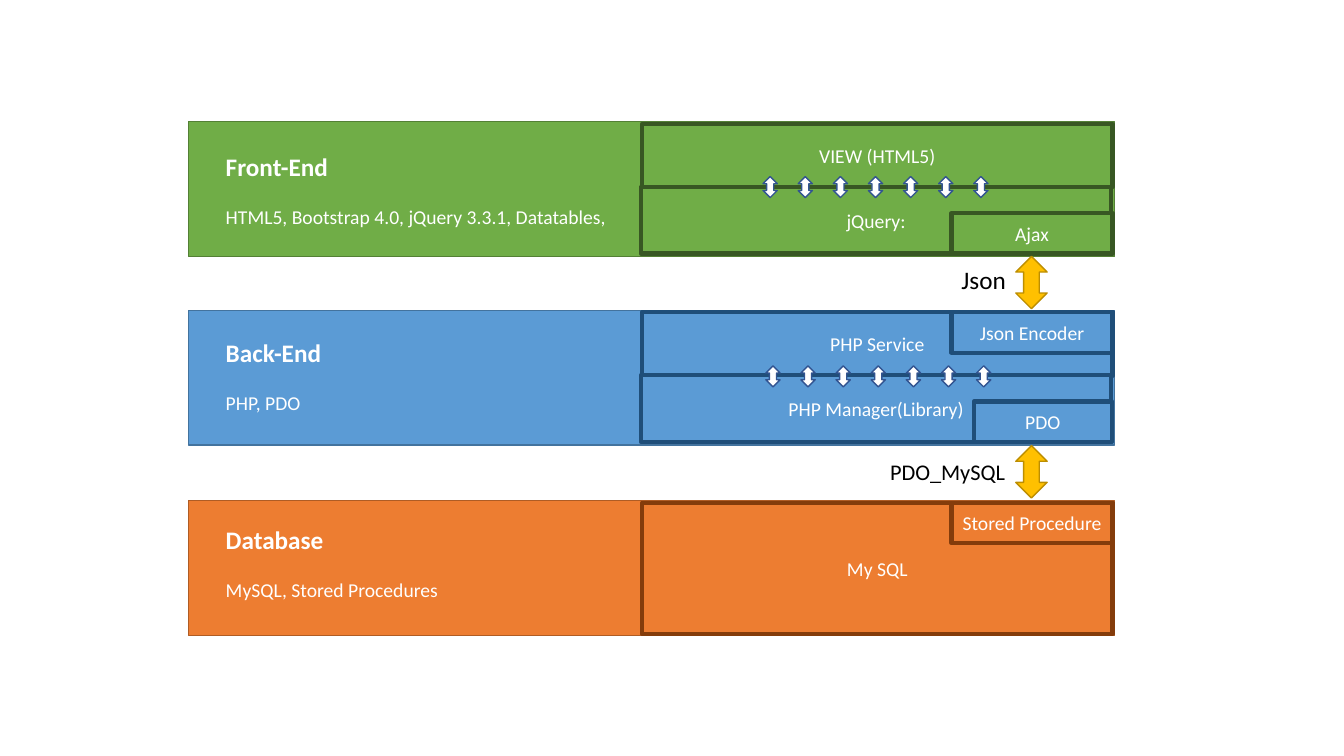
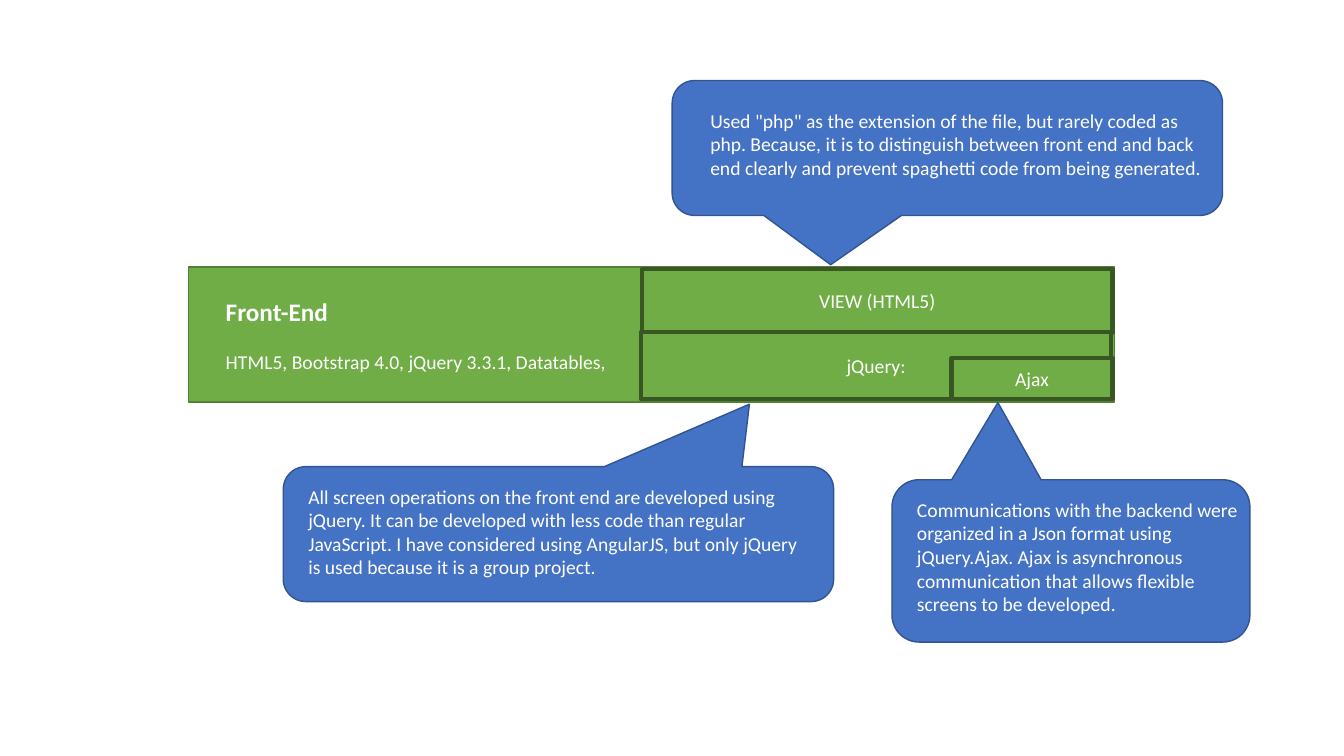
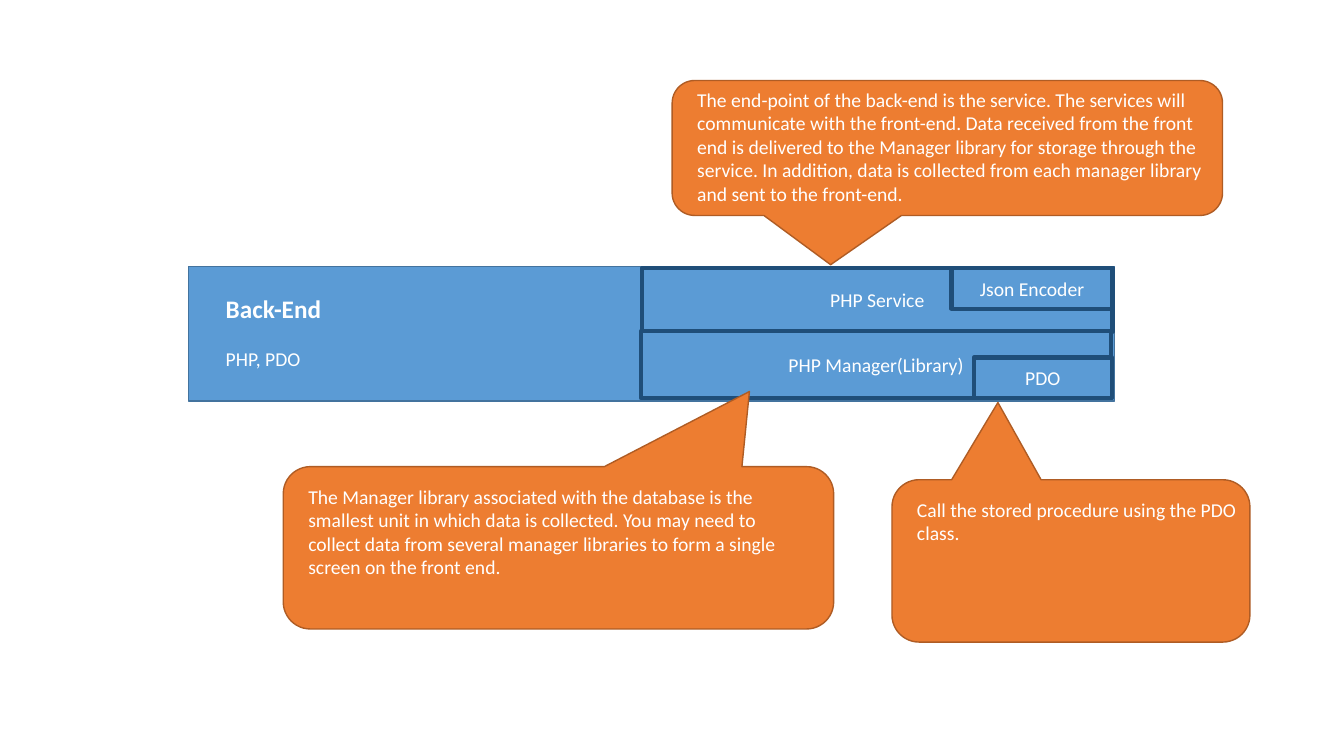
"""Build three slides on the layers of a web application."""
from pptx import Presentation
from pptx.dml.color import RGBColor
from pptx.enum.shapes import MSO_SHAPE as Shape
from pptx.enum.text import MSO_ANCHOR, MSO_AUTO_SIZE, PP_ALIGN
from pptx.util import Cm, Pt

FONT = "Calibri"
COLORS = {
    "white": "FFFFFF", "black": "000000",
    "green": "70AD47", "green_line": "538035", "green_dark": "385723",
    "blue": "5B9BD5", "blue_line": "43739E", "blue_dark": "1F4E79",
    "orange": "ED7D31", "orange_line": "AF5C24", "orange_dark": "843C0B",
    "royal": "4472C4", "royal_line": "325491",
    "gold": "FFC000", "gold_line": "BD8E00",
}
LAYER_LEFT, LAYER_W, LAYER_H = 4.75, 23.34, 3.4
TEXT_LEFT, DETAIL_STEP = 5.44, 1.35
UPPER, LOWER = (16.18, 0.05, 11.86, 1.6), (16.15, 1.64, 11.86, 1.68)
TOP_TAB, BOTTOM_TAB = (23.98, 0.05, 4.06, 1.02), (23.98, 2.3, 4.06, 1.02)
PDO_TAB = (24.54, 2.3, 3.48, 1.02)
ARROW_COUNT, ARROW_PITCH = 7, 0.885
LINK_LEFT, LINK_W, LINK_H, LABEL_RIGHT = 25.6, 0.79, 1.32, 25.63

FRONT = {
    "color": "green", "title": ("Front-End", 3.12), "title_dy": 0.61,
    "detail": ("HTML5, Bootstrap 4.0, jQuery 3.3.1, Datatables,", 10.19),
    "boxes": [("VIEW (HTML5)", UPPER), ("jQuery:", LOWER), ("Ajax", BOTTOM_TAB)],
}
BACK = {
    "color": "blue", "title": ("Back-End", 2.95), "title_dy": 0.56,
    "detail": ("PHP, PDO", 2.41),
    "boxes": [("PHP Service", UPPER), ("PHP Manager(Library)", LOWER),
              ("PDO", PDO_TAB), ("Json Encoder", TOP_TAB)],
}
DATABASE = {
    "color": "orange", "title": ("Database", 3), "title_dy": 0.46,
    "detail": ("MySQL, Stored Procedures", 5.92),
    "boxes": [("My SQL", (16.18, 0.05, 11.86, 3.3)), ("Stored Procedure", TOP_TAB)],
}
STACK = [(FRONT, 3.07), (BACK, 7.82), (DATABASE, 12.62)]
LINKS = [
    {"top": 6.46, "label": "Json", "width": 1.65, "size": 18, "dy": 0.07, "arrows": (19.23, 4.45)},
    {"top": 11.23, "label": "PDO_MySQL", "width": 3.45, "size": 16, "dy": 0.18, "arrows": (19.3, 9.22)},
]
TOP_TAIL, LEFT_TAIL, RIGHT_TAIL = (-0.212, 0.865), (0.347, -0.963), (-0.204, -0.976)
RIGHT_CALLOUT = (22.48, 12.09, 9.02, 4.09)
DETAILS = [
    (FRONT, 6.73, "royal", [
        ((16.94, 2.03, 13.87, 3.4), TOP_TAIL, (0.71, 0.58, 13.13),
         'Used "php" as the extension of the file, but rarely coded as php. Because, it is to '
         "distinguish between front end and back end clearly and prevent spaghetti code from "
         "being generated."),
        ((7.14, 11.76, 13.87, 3.4), LEFT_TAIL, (0.38, 0.33, 13.03),
         "All screen operations on the front end are developed using jQuery. It can be developed "
         "with less code than regular JavaScript. I have considered using AngularJS, but only "
         "jQuery is used because it is a group project."),
        (RIGHT_CALLOUT, RIGHT_TAIL, (0.38, 0.33, 9.02),
         "Communications with the backend were organized in a Json format using jQuery.Ajax. Ajax "
         "is asynchronous communication that allows flexible screens to be developed."),
    ]),
    (BACK, 6.71, "orange", [
        ((16.94, 2.03, 13.87, 3.4), TOP_TAIL, (0.38, 0.05, 13.67),
         "The end-point of the back-end is the service. The services will communicate with the "
         "front-end. Data received from the front end is delivered to the Manager library for "
         "storage through the service. In addition, data is collected from each manager library "
         "and sent to the front-end."),
        ((7.14, 11.76, 13.87, 4.09), LEFT_TAIL, (0.38, 0.33, 13.03),
         "The Manager library associated with the database is the smallest unit in which data is "
         "collected. You may need to collect data from several manager libraries to form a single "
         "screen on the front end."),
        (RIGHT_CALLOUT, RIGHT_TAIL, (0.38, 0.33, 9.02),
         "Call the stored procedure using the PDO class."),
    ]),
]


def rgb(name):
    return RGBColor.from_string(COLORS[name])


def set_text(tf, text, size, color="white", bold=False, align=PP_ALIGN.LEFT):
    p = tf.paragraphs[0]
    p.text, p.alignment = text, align
    p.font.name, p.font.size, p.font.bold = FONT, Pt(size), bold
    p.font.color.rgb = rgb(color)


def add_text(s, text, left, top, width, size, wrap=False, **style):
    tf = s.shapes.add_textbox(Cm(left), Cm(top), Cm(width), Cm(size * 0.057)).text_frame
    tf.word_wrap, tf.auto_size = wrap, MSO_AUTO_SIZE.SHAPE_TO_FIT_TEXT
    set_text(tf, text, size, **style)


def add_figure(s, kind, box, fill, line, weight=1):
    sp = s.shapes.add_shape(kind, *map(Cm, box))
    sp.shadow.inherit = False
    sp.fill.solid()
    sp.fill.fore_color.rgb = rgb(fill)
    sp.line.color.rgb = rgb(line)
    sp.line.width = Pt(weight)
    return sp


def add_layer(s, layer, top):
    color = layer["color"]
    add_figure(s, Shape.RECTANGLE, (LAYER_LEFT, top, LAYER_W, LAYER_H), color, color + "_line")
    title, title_w = layer["title"]
    detail, detail_w = layer["detail"]
    title_top = top + layer["title_dy"]
    add_text(s, title, TEXT_LEFT, title_top, title_w, 18, bold=True)
    add_text(s, detail, TEXT_LEFT, title_top + DETAIL_STEP, detail_w, 14)
    for text, (left, dy, width, height) in layer["boxes"]:
        sp = add_figure(s, Shape.RECTANGLE, (left, top + dy, width, height),
                        color, color + "_dark", 3)
        sp.text_frame.vertical_anchor = MSO_ANCHOR.MIDDLE
        set_text(sp.text_frame, text, 14, align=PP_ALIGN.CENTER)


def add_link(s, link):
    add_figure(s, Shape.UP_DOWN_ARROW, (LINK_LEFT, link["top"], LINK_W, LINK_H),
               "gold", "gold_line")
    add_text(s, link["label"], LABEL_RIGHT - link["width"], link["top"] + link["dy"],
             link["width"], link["size"], color="black")
    left, top = link["arrows"]
    for i in range(ARROW_COUNT):
        add_figure(s, Shape.UP_DOWN_ARROW, (left + i * ARROW_PITCH, top, 0.36, 0.53),
                   "white", "royal_line")


def add_callout(s, color, box, tail, inset, text):
    sp = add_figure(s, Shape.ROUNDED_RECTANGULAR_CALLOUT, box, color, color + "_line")
    sp.adjustments[0], sp.adjustments[1] = tail
    dx, dy, width = inset
    add_text(s, text, box[0] + dx, box[1] + dy, width, 14, wrap=True)


def main():
    prs = Presentation()
    prs.slide_width, prs.slide_height = Cm(33.87), Cm(19.05)
    blank = prs.slide_layouts[6]
    s = prs.slides.add_slide(blank)
    for layer, top in STACK:
        add_layer(s, layer, top)
    for link in LINKS:
        add_link(s, link)
    for layer, top, color, callouts in DETAILS:
        s = prs.slides.add_slide(blank)
        add_layer(s, layer, top)
        for callout in callouts:
            add_callout(s, color, *callout)
    prs.save("out.pptx")


if __name__ == "__main__":
    main()
